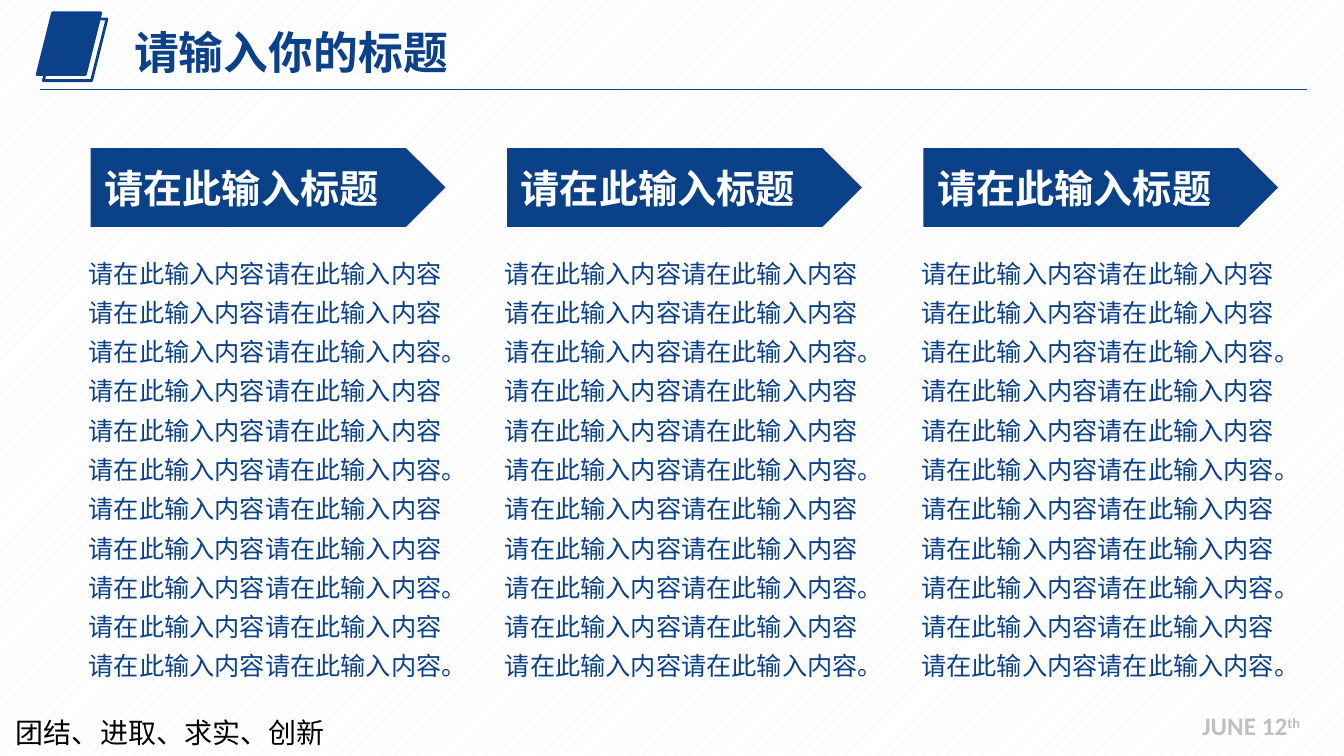
from dataclasses import dataclass

from lxml.etree import SubElement
from pptx import Presentation
from pptx.dml.color import RGBColor
from pptx.enum.dml import MSO_PATTERN
from pptx.enum.shapes import MSO_CONNECTOR, MSO_SHAPE
from pptx.enum.text import MSO_ANCHOR, PP_ALIGN
from pptx.oxml.ns import qn
from pptx.util import Pt


@dataclass(frozen=True)
class Theme:
    blue: RGBColor = RGBColor(0x0B, 0x41, 0x89)
    white: RGBColor = RGBColor(0xFF, 0xFF, 0xFF)
    black: RGBColor = RGBColor(0, 0, 0)
    grey: RGBColor = RGBColor(0xBF, 0xBF, 0xBF)
    cream: RGBColor = RGBColor(0xEE, 0xEC, 0xE1)
    main: str = "Noto Sans CJK SC"
    motto: str = "Noto Sans CJK JP"
    latin: str = "Calibri"
    title: int = 32
    heading: int = 28
    footer: int = 20
    body: int = 18


T = Theme()
SENTENCE = "请在此输入内容" * 6 + "。"
BODY = SENTENCE * 3 + "请在此输入内容" * 4 + "。"


def add_run(p, text, size, color, font, bold=False):
    r = p.add_run()
    r.text = text
    r.font.size = Pt(size)
    r.font.bold = bold
    r.font.color.rgb = color
    r.font.name = font
    SubElement(r._r.get_or_add_rPr(), qn("a:ea"), typeface=font)
    return r


def add_text_box(s, x, y, w, h, wrap=True):
    tf = s.shapes.add_textbox(Pt(x), Pt(y), Pt(w), Pt(h)).text_frame
    tf.word_wrap = wrap
    return tf.paragraphs[0]


def add_shape(s, kind, x, y, w, h):
    sp = s.shapes.add_shape(kind, Pt(x), Pt(y), Pt(w), Pt(h))
    sp.shadow.inherit = False
    return sp


def add_header(s, x, y, w, h):
    for offset, filled in ((0, True), (4.4, False)):
        sp = add_shape(s, MSO_SHAPE.PARALLELOGRAM, x + offset, y + offset, 45.4, 44)
        if filled:
            sp.fill.solid()
            sp.fill.fore_color.rgb = T.blue
        else:
            sp.fill.background()
        sp.line.color.rgb = T.blue
        sp.line.width = Pt(2)

    rule = s.shapes.add_connector(
        MSO_CONNECTOR.STRAIGHT, Pt(x + 2), Pt(y + h), Pt(x + w), Pt(y + h))
    rule.line.color.rgb = T.blue
    rule.line.width = Pt(0.75)
    SubElement(rule._element.spPr, qn("a:effectLst"))

    title = s.shapes.title
    title.left, title.top = Pt(x + 62), Pt(y + 6)
    title.width, title.height = Pt(397), Pt(48)
    tf = title.text_frame
    tf.word_wrap = True
    tf.vertical_anchor = MSO_ANCHOR.MIDDLE
    p = tf.paragraphs[0]
    p.alignment = PP_ALIGN.LEFT
    p.line_spacing = 0.9
    add_run(p, "请输入你的标题", T.title, T.blue, T.main, True)


def add_column(s, x, y, w, h):
    banner = add_shape(s, MSO_SHAPE.PENTAGON, x + 8.6, y, w - 21.6, 56.2)
    banner.fill.solid()
    banner.fill.fore_color.rgb = T.blue
    banner.line.fill.background()
    tf = banner.text_frame
    tf.word_wrap = True
    tf.vertical_anchor = MSO_ANCHOR.MIDDLE
    tf.margin_left, tf.margin_right = Pt(0), Pt(24)
    tf.margin_top = tf.margin_bottom = Pt(0)
    p = tf.paragraphs[0]
    p.alignment = PP_ALIGN.CENTER
    add_run(p, "请在此输入标题", T.heading, T.white, T.main, True)

    p = add_text_box(s, x, y + 68.4, w, h - 68.4)
    p.line_spacing = 1.3
    add_run(p, BODY, T.body, T.blue, T.main)


def add_footer(s, x, y, w, h):
    p = add_text_box(s, x, y + 3.6, 274, h - 3.6)
    add_run(p, "团结、进取、求实、创新", T.footer, T.black, T.motto)
    p = add_text_box(s, x + w - 86.4, y, 86.4, 29, wrap=False)
    add_run(p, "JUNE 12", T.body, T.grey, T.latin, True)
    r = add_run(p, "th", T.body, T.grey, T.latin, True)
    r._r.get_or_add_rPr().set("baseline", "30000")


def main():
    prs = Presentation()
    prs.slide_width, prs.slide_height = Pt(960), Pt(540)
    s = prs.slides.add_slide(prs.slide_layouts[5])
    fill = s.background.fill
    fill.patterned()
    fill.pattern = MSO_PATTERN.PERCENT_10
    fill.fore_color.rgb = T.cream
    fill.back_color.rgb = T.white

    add_header(s, 26.6, 9.2, 907, 54.8)
    for i in range(3):
        add_column(s, 56.2 + i * 297.4, 105.8, 275, 384.6)
    add_footer(s, 4.3, 504, 933.9, 35.3)
    prs.save("out.pptx")


if __name__ == "__main__":
    main()
